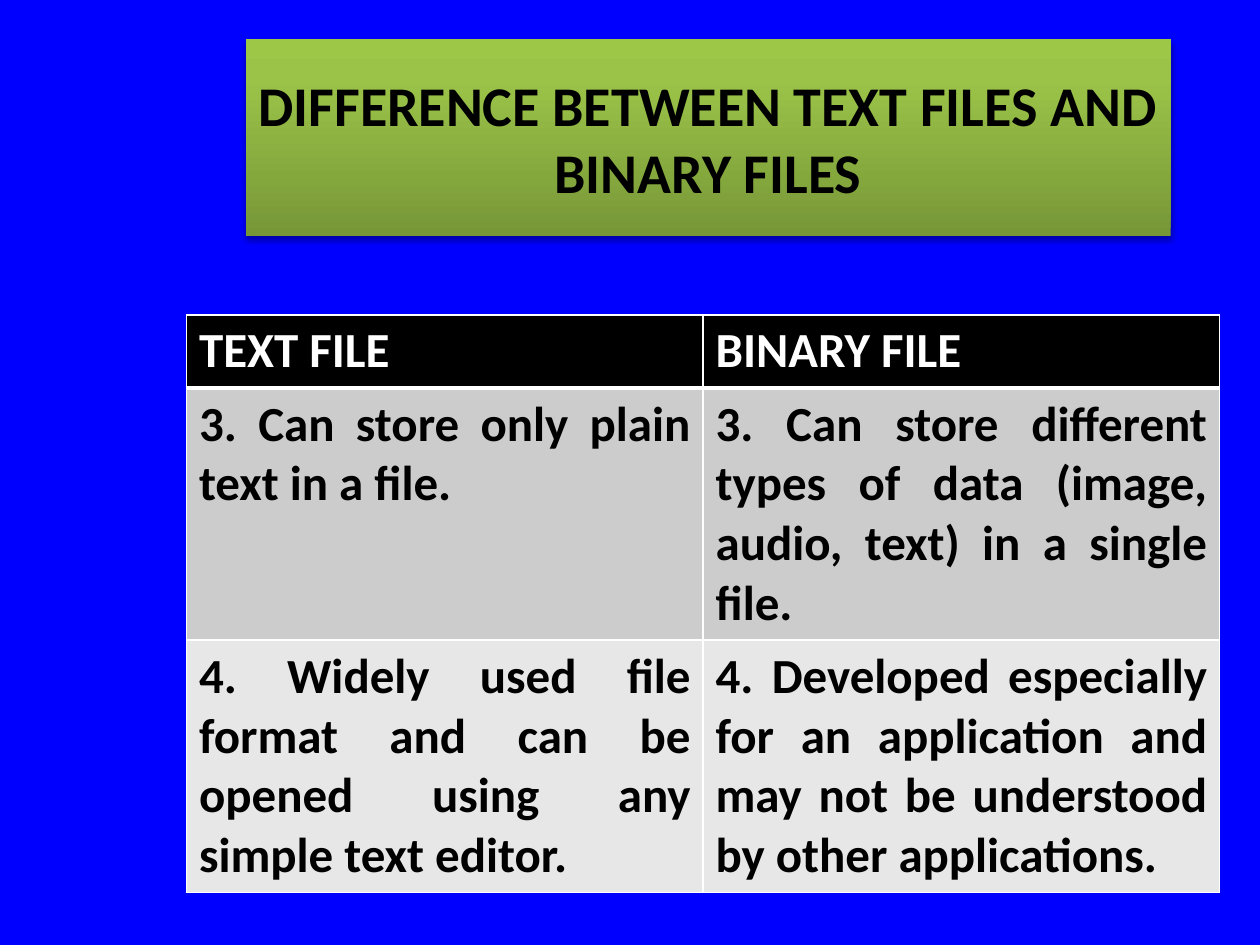
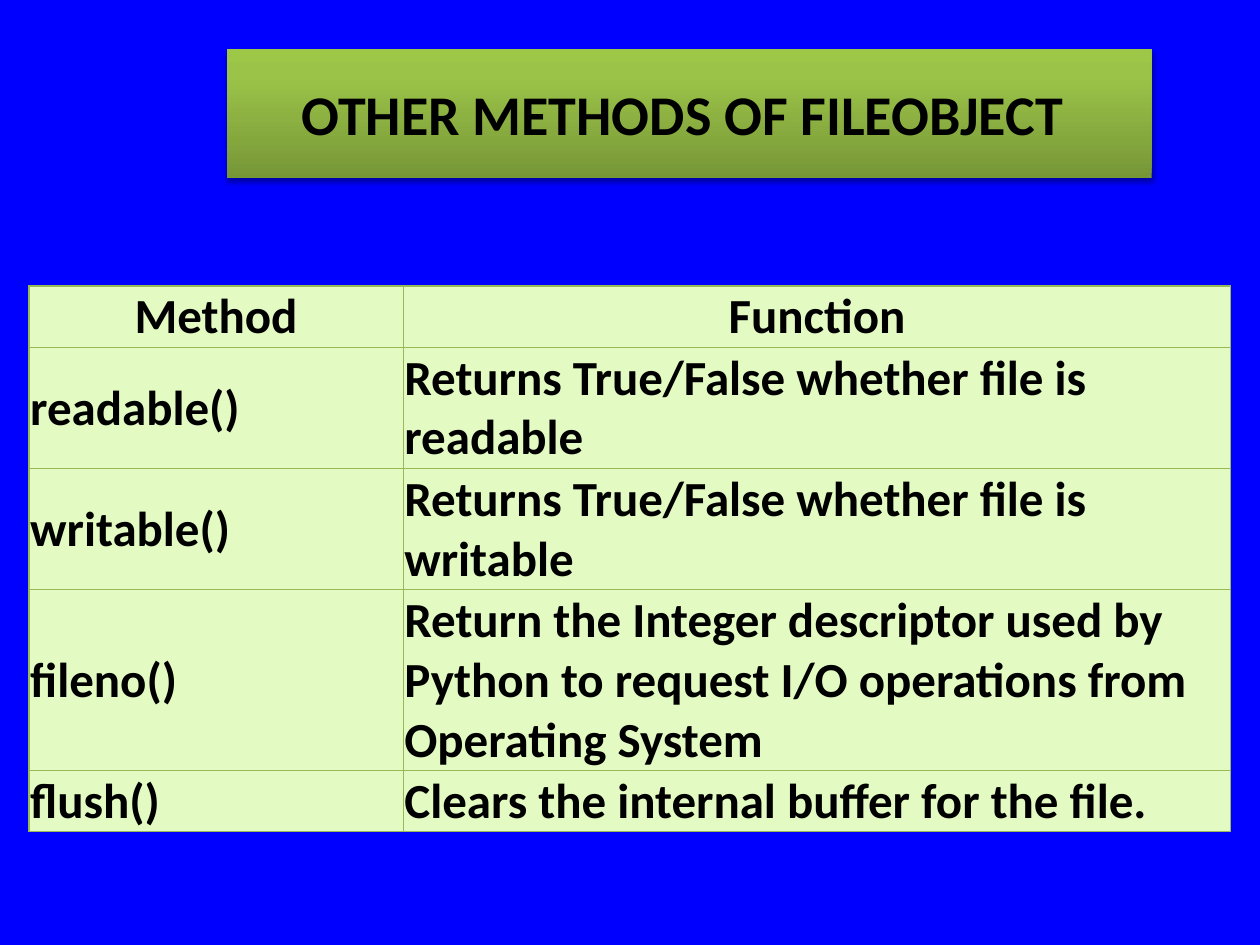
from lxml.etree import SubElement
from pptx import Presentation
from pptx.dml.color import RGBColor
from pptx.enum.text import MSO_ANCHOR, MSO_AUTO_SIZE, PP_ALIGN
from pptx.oxml import parse_xml
from pptx.oxml.ns import nsdecls, qn
from pptx.util import Pt

PX = 9144
FONT = "Calibri"
COLORS = {
    "background": "0000FF",
    "band_dark": "779737",
    "band_mid": "9BC348",
    "band_light": "9DC746",
    "black": "000000",
    "white": "FFFFFF",
    "gray": "CCCCCC",
    "light_gray": "E7E7E7",
    "pale_green": "E3FBC2",
    "green": "98B955",
}

BAND_FILL = f"""<a:gradFill {nsdecls("a")} rotWithShape="1"><a:gsLst>
<a:gs pos="0"><a:srgbClr val="{COLORS["band_dark"]}"/></a:gs>
<a:gs pos="80000"><a:srgbClr val="{COLORS["band_mid"]}"/></a:gs>
<a:gs pos="100000"><a:srgbClr val="{COLORS["band_light"]}"/></a:gs>
</a:gsLst><a:lin ang="16200000" scaled="0"/></a:gradFill>"""
BAND_SHADOW = f"""<a:effectLst {nsdecls("a")}>
<a:outerShdw blurRad="40000" dist="23000" dir="5400000" rotWithShape="0">
<a:srgbClr val="{COLORS["black"]}"><a:alpha val="35000"/></a:srgbClr>
</a:outerShdw></a:effectLst>"""

SLIDES = [
    {
        "title": "DIFFERENCE BETWEEN TEXT FILES AND BINARY FILES",
        "band": (195, 31, 734, 156),
        "corner": (148, 250),
        "columns": (410, 410),
        "heights": (58, 200, 200),
        "rows": [
            ("TEXT FILE", "BINARY FILE"),
            ("3. Can store only plain text in a file.",
             "3. Can store different types of data (image, audio, text) in a single file."),
            ("4. Widely used file format and can be opened using any simple text editor.",
             "4. Developed especially for an application and may not be understood by other applications."),
        ],
        "fills": ("black", "gray", "light_gray"),
        "header_color": "white",
        "header_align": PP_ALIGN.LEFT,
        "body_align": PP_ALIGN.JUSTIFY,
        "anchor": MSO_ANCHOR.TOP,
        "margins": (10, 5, 10, 5),
        "border": ("white", 1),
        "header_rule": 3,
    },
    {
        "title": "OTHER METHODS OF FILEOBJECT ",
        "band": (180, 39, 734, 102),
        "corner": (23, 227),
        "columns": (297, 657),
        "heights": (48, 96, 96, 144, 48),
        "rows": [
            ("Method", "Function"),
            ("readable()", "Returns True/False whether file is readable"),
            ("writable()", "Returns True/False whether file is writable"),
            ("fileno()", "Return the Integer descriptor used by Python to request "
                         "I/O operations from Operating System"),
            ("flush()", "Clears the internal buffer for the file."),
        ],
        "fills": ("pale_green",) * 5,
        "header_color": "black",
        "header_align": PP_ALIGN.CENTER,
        "body_align": PP_ALIGN.LEFT,
        "anchor": MSO_ANCHOR.MIDDLE,
        "margins": (1, 1, 1, 0),
        "border": ("green", 0.75),
        "header_rule": 0.75,
    },
]


def write(paragraph, text, size, color, align):
    paragraph.alignment = align
    run = paragraph.add_run()
    run.text = text
    run.font.name = FONT
    run.font.size = Pt(size)
    run.font.bold = True
    run.font.color.rgb = RGBColor.from_string(COLORS[color])


def add_border(cell, side, color, width):
    line = SubElement(cell._tc.get_or_add_tcPr(), qn(f"a:ln{side}"), w=str(Pt(width)))
    fill = SubElement(line, qn("a:solidFill"))
    SubElement(fill, qn("a:srgbClr"), val=COLORS[color])


deck = Presentation()
deck.slide_width = 1000 * PX
deck.slide_height = 750 * PX

for content in SLIDES:
    slide = deck.slides.add_slide(deck.slide_layouts[5])
    slide.background.fill.solid()
    slide.background.fill.fore_color.rgb = RGBColor.from_string(COLORS["background"])

    band = slide.shapes.title
    band.left, band.top, band.width, band.height = (n * PX for n in content["band"])
    band._element.spPr.append(parse_xml(BAND_FILL))
    band._element.spPr.append(parse_xml(BAND_SHADOW))
    band.text_frame.word_wrap = True
    band.text_frame.auto_size = MSO_AUTO_SIZE.NONE
    band.text_frame.vertical_anchor = MSO_ANCHOR.MIDDLE
    write(band.text_frame.paragraphs[0], content["title"], 32, "black", PP_ALIGN.CENTER)

    left, top = content["corner"]
    columns, heights = content["columns"], content["heights"]
    comparison = slide.shapes.add_table(
        len(heights), len(columns), left * PX, top * PX, sum(columns) * PX, sum(heights) * PX
    ).table
    comparison.horz_banding = False
    for column, width in zip(comparison.columns, columns):
        column.width = width * PX

    border_color, border_width = content["border"]
    for r, texts in enumerate(content["rows"]):
        comparison.rows[r].height = heights[r] * PX
        is_header = r == 0
        for c, text in enumerate(texts):
            cell = comparison.cell(r, c)
            for side in "LRTB":
                beside_rule = (r, side) in ((0, "B"), (1, "T"))
                add_border(cell, side, border_color,
                           content["header_rule"] if beside_rule else border_width)
            cell.fill.solid()
            cell.fill.fore_color.rgb = RGBColor.from_string(COLORS[content["fills"][r]])
            cell.margin_left, cell.margin_top, cell.margin_right, cell.margin_bottom = (
                n * PX for n in content["margins"])
            cell.vertical_anchor = content["anchor"]
            write(cell.text_frame.paragraphs[0], text, 28,
                  content["header_color"] if is_header else "black",
                  content["header_align"] if is_header else content["body_align"])

deck.save("out.pptx")
